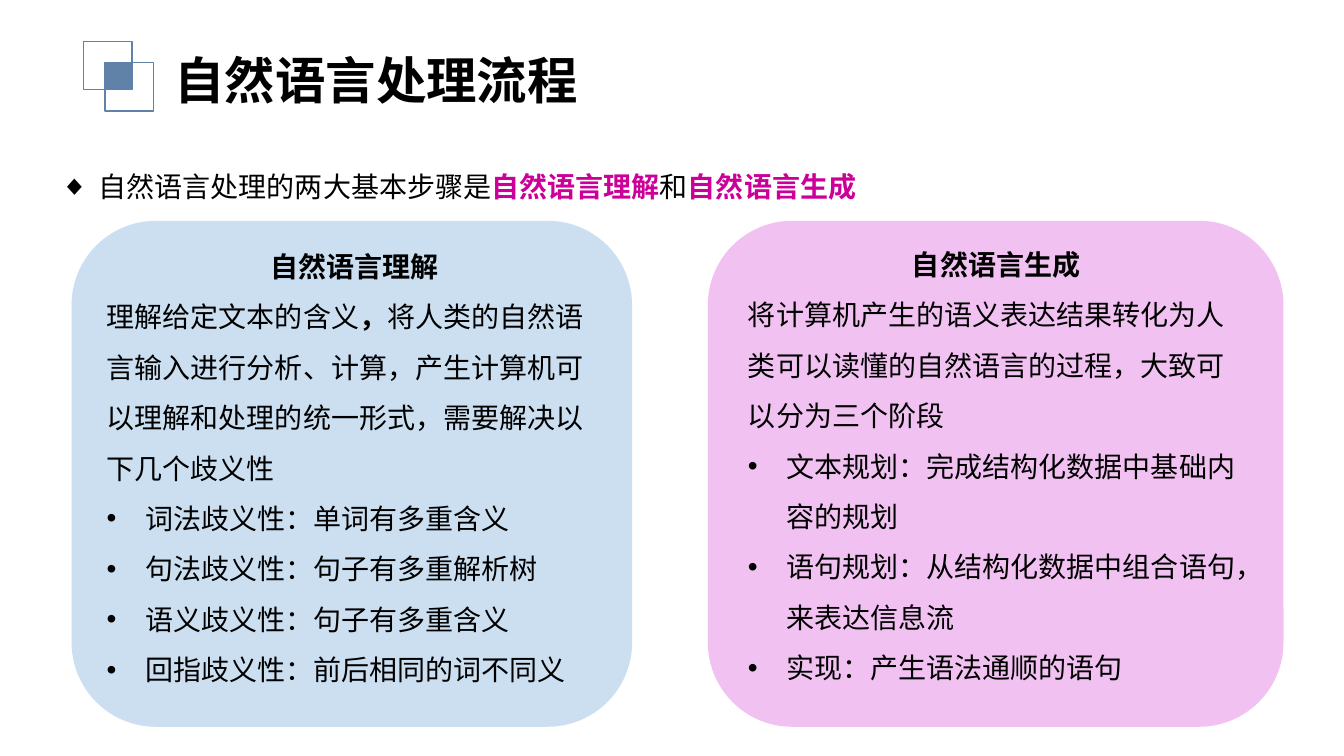
import dataclasses

import pptx
import pptx.dml.color
import pptx.enum.shapes
import pptx.enum.text
import pptx.oxml.ns
import pptx.util
from lxml import etree

Inches = pptx.util.Inches
Pt = pptx.util.Pt
Shape = pptx.enum.shapes.MSO_SHAPE
Align = pptx.enum.text.PP_ALIGN
qn = pptx.oxml.ns.qn


@dataclasses.dataclass(frozen=True)
class Theme:
    font: str = "Noto Sans CJK SC"
    ink: str = "000000"
    accent: str = "CC0099"
    mark: str = "6082A9"
    blue: str = "BDD7EE"
    pink: str = "E488E4"
    title: int = 36
    body: int = 20
    indent: float = 0.38


THEME = Theme()


def rgb(code):
    return pptx.dml.color.RGBColor.from_string(code)


def style(run, size=THEME.body, color=THEME.ink, bold=False):
    font = run.font
    font.size, font.bold, font.name = Pt(size), bold, THEME.font
    font.color.rgb = rgb(color)
    east = etree.SubElement(run._r.get_or_add_rPr(), qn("a:ea"))
    east.set("typeface", THEME.font)


def write(para, parts, bullet=None, align=Align.LEFT):
    """Fill a paragraph from (text, format) pairs."""
    para.alignment = align
    para.line_spacing = 1.5
    if bullet:
        props = para._p.get_or_add_pPr()
        props.set("marL", str(Inches(THEME.indent)))
        props.set("indent", str(-Inches(THEME.indent)))
        etree.SubElement(props, qn("a:buFont")).set("typeface", "Arial")
        etree.SubElement(props, qn("a:buChar")).set("char", bullet)
    for text, look in parts:
        run = para.add_run()
        run.text = text
        style(run, **look)


def add_text(slide, x, y, w, h):
    frame = slide.shapes.add_textbox(*map(Inches, (x, y, w, h))).text_frame
    frame.word_wrap = True
    return frame


def add_box(slide, kind, x, y, w, h, fill=None, line=None, alpha=None):
    box = slide.shapes.add_shape(kind, *map(Inches, (x, y, w, h)))
    box.shadow.inherit = False
    if fill:
        box.fill.solid()
        box.fill.fore_color.rgb = rgb(fill)
    else:
        box.fill.background()
    if line:
        box.line.color.rgb = rgb(line)
        box.line.width = Pt(1)
    else:
        box.line.fill.background()
    if alpha:
        color = box._element.spPr.find(qn("a:solidFill"))[0]
        etree.SubElement(color, qn("a:alpha")).set("val", str(alpha * 1000))


def add_head(slide, x, y, text):
    """Place the overlapping squares and the title beside them."""
    side, step = 0.48, 0.21
    for shift in (0, step):
        add_box(slide, Shape.RECTANGLE, x + shift, y + shift, side, side,
                line=THEME.mark)
    add_box(slide, Shape.RECTANGLE, x + step, y + step, side - step,
            side - step, fill=THEME.mark)
    title = slide.shapes.title
    title.left, title.top = Inches(x + 0.8), Inches(y + 0.03)
    title.width, title.height = Inches(5.24), Inches(0.71)
    frame = title.text_frame
    frame.text = text
    frame.vertical_anchor = pptx.enum.text.MSO_ANCHOR.TOP
    frame.auto_size = pptx.enum.text.MSO_AUTO_SIZE.NONE
    frame.paragraphs[0].alignment = Align.LEFT
    style(frame.paragraphs[0].runs[0], THEME.title, bold=True)


def add_lead(slide, x, y, w, h):
    key = {"color": THEME.accent, "bold": True}
    parts = [("自然语言处理的两大基本步骤是", {}), ("自然语言理解", key),
             ("和", {}), ("自然语言生成", key)]
    write(add_text(slide, x, y, w, h).paragraphs[0], parts, "◆")


def add_card(slide, x, y, w, h, inset, fill, alpha, name, intro, items):
    add_box(slide, Shape.ROUNDED_RECTANGLE, x, y, w, h, fill, alpha=alpha)
    left, top = inset
    frame = add_text(slide, x + left, y + top, 5.12, 4.64)
    write(frame.paragraphs[0], [(name, {"bold": True})], align=Align.CENTER)
    write(frame.add_paragraph(), intro)
    for item in items:
        write(frame.add_paragraph(), [(item, {})], "•")


def main():
    deck = pptx.Presentation()
    deck.slide_width, deck.slide_height = Inches(13.33), Inches(7.5)
    slide = deck.slides.add_slide(deck.slide_layouts[5])
    add_head(slide, 0.83, 0.41, "自然语言处理流程")
    add_lead(slide, 0.5, 1.47, 12.36, 0.55)
    top, height = 2.19, 5.02
    add_card(slide, 0.71, top, 5.56, height, (0.25, 0.07), THEME.blue, 78,
             "自然语言理解",
             [("理解给定文本的含义", {}), ("，", {"bold": True}),
              ("将人类的自然语言输入进行分析、计算，产生计算机可以理解和处理的"
               "统一形式，需要解决以下几个歧义性", {})],
             ["词法歧义性：单词有多重含义", "句法歧义性：句子有多重解析树",
              "语义歧义性：句子有多重含义", "回指歧义性：前后相同的词不同义"])
    add_card(slide, 7.02, top, 5.71, height, (0.3, 0.05), THEME.pink, 51,
             "自然语言生成",
             [("将计算机产生的语义表达结果转化为人类可以读懂的自然语言的过程，"
               "大致可以分为三个阶段", {})],
             ["文本规划：完成结构化数据中基础内容的规划",
              "语句规划：从结构化数据中组合语句，来表达信息流",
              "实现：产生语法通顺的语句"])
    deck.save("out.pptx")


if __name__ == "__main__":
    main()
